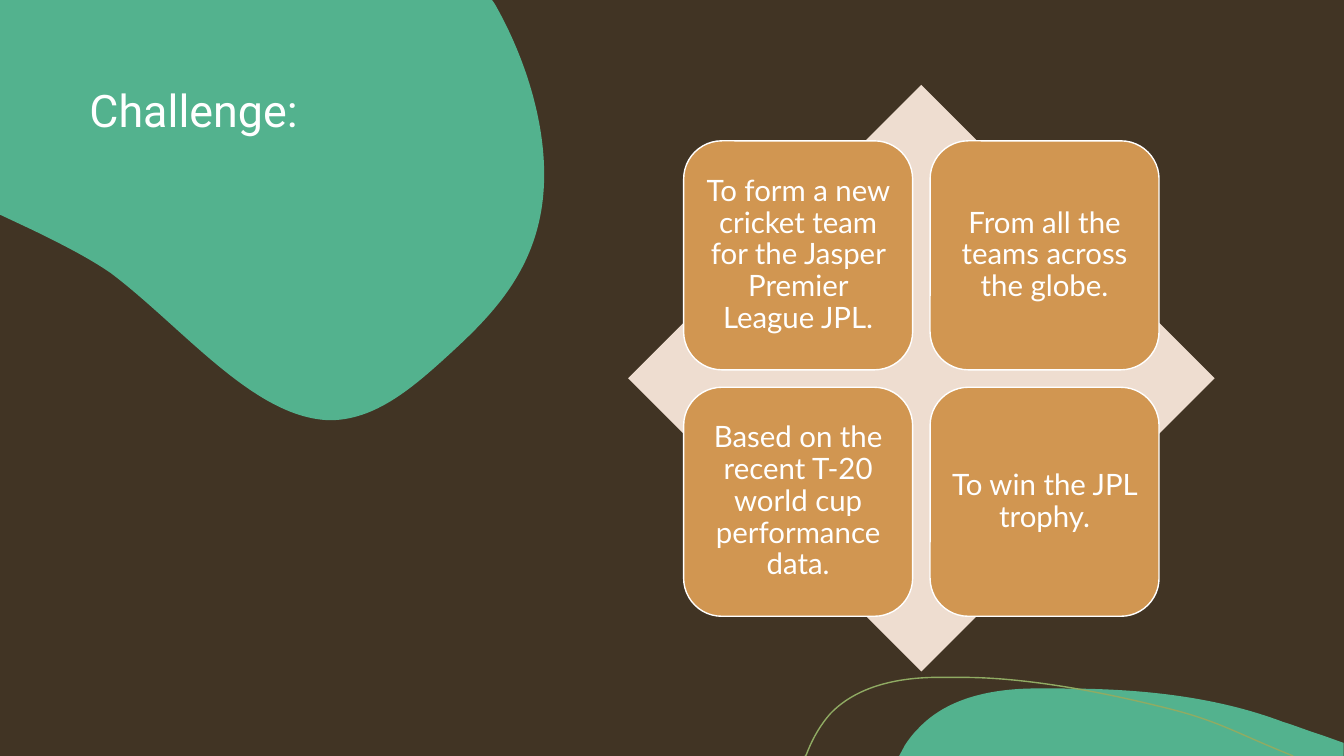
from dataclasses import dataclass

from lxml import etree
from pptx import Presentation
from pptx.dml.color import RGBColor
from pptx.enum import shapes, text
from pptx.oxml.ns import qn
from pptx.shapes.autoshape import Shape
from pptx.slide import Slide
from pptx.text.text import TextFrame
from pptx.util import Cm, Pt

BROWN = RGBColor(0x41, 0x34, 0x24)
GREEN = RGBColor(0x53, 0xB2, 0x8E)
OLIVE = RGBColor(0x90, 0xAB, 0x63)
SAND = RGBColor(0xEE, 0xDD, 0xD0)
OCHRE = RGBColor(0xD1, 0x96, 0x51)
WHITE = RGBColor(0xFF, 0xFF, 0xFF)

Point = tuple[float, float]


@dataclass(frozen=True)
class Outline:
    """Each segment holds one point (line) or three points (cubic curve), in cm."""
    start: Point
    segments: tuple[tuple[Point, ...], ...]
    closed: bool = True


@dataclass(frozen=True)
class Tile:
    column: int
    row: int
    wording: str


TOP_BLOB = Outline((0, 0), (
    ((12.4, 0),),
    ((12.47, 0.1),),
    ((13.28, 1.52), (13.84, 3.33), (13.69, 4.93)),
    ((13.51, 6.86), (12.34, 8), (11.28, 8.97)),
    ((10.39, 9.78), (9.45, 10.59), (8.31, 10.59)),
    ((6.4, 10.54), (4.62, 8.26), (2.79, 6.88)),
    ((2.24, 6.5), (1.55, 6.15), (0.81, 5.79)),
    ((0, 5.41),),
))
BOTTOM_BLOB = Outline((26.77, 17.35), (
    ((28.65, 17.35), (30.58, 17.53), (32.33, 18.19)),
    ((32.66, 18.29), (32.97, 18.42), (33.3, 18.52)),
    ((33.86, 18.72),),
    ((33.86, 19.05),),
    ((22.66, 19.05),),
    ((22.81, 18.77),),
    ((22.91, 18.62), (23.01, 18.49), (23.14, 18.36)),
    ((23.85, 17.6), (24.94, 17.37), (25.98, 17.35)),
    ((26.24, 17.35), (26.5, 17.35), (26.77, 17.35)),
))
BOTTOM_CURVE = Outline((20.29, 19.05), (
    ((20.32, 19.02),),
    ((20.47, 18.62), (20.68, 18.26), (20.93, 17.98)),
    ((21.59, 17.3), (22.58, 17.09), (23.52, 17.07)),
    ((24.26, 17.07),),
    ((25.96, 17.07), (27.94, 17.48), (29.34, 17.83)),
    ((30.71, 18.16), (31.14, 18.47), (32.59, 19.05)),
), closed=False)

TILES = (
    Tile(0, 0, "To form a new cricket team for the Jasper Premier League JPL."),
    Tile(1, 0, "From all the teams across the globe."),
    Tile(0, 1, "Based on the recent T-20 world cup performance data."),
    Tile(1, 1, "To win the JPL trophy."),
)
TILE_LEFT, TILE_TOP, TILE_SIZE, TILE_PITCH = 17.23, 3.55, 5.77, 6.21


def paint(shape: Shape, fill: RGBColor | None, line: RGBColor | None) -> None:
    shape.shadow.inherit = False
    if fill is None:
        shape.fill.background()
    else:
        shape.fill.solid()
        shape.fill.fore_color.rgb = fill
    if line is None:
        shape.line.fill.background()
    else:
        shape.line.color.rgb = line
        shape.line.width = Pt(1)


def draw_outline(page: Slide, outline: Outline, fill: RGBColor | None = None,
                 line: RGBColor | None = None) -> Shape:
    points = [outline.start, *(p for segment in outline.segments for p in segment)]
    corners = [(Cm(x), Cm(y)) for x, y in points]
    builder = page.shapes.build_freeform(*corners[0])
    builder.add_line_segments(corners[1:], close=outline.closed)
    shape = builder.convert_to_shape()

    # Join the three points of each curved segment into one cubic curve
    steps = iter(list(shape.element.iter(qn("a:lnTo"))))
    for segment in outline.segments:
        group = [next(steps) for _ in segment]
        if len(group) == 3:
            curve = etree.Element(qn("a:cubicBezTo"))
            group[0].addprevious(curve)
            for step in group:
                curve.append(step[0])
                step.getparent().remove(step)

    paint(shape, fill, line)
    return shape


def draw_preset(page: Slide, preset: shapes.MSO_SHAPE, left: float, top: float,
                width: float, height: float, fill: RGBColor,
                line: RGBColor | None = None) -> Shape:
    shape = page.shapes.add_shape(preset, Cm(left), Cm(top), Cm(width), Cm(height))
    paint(shape, fill, line)
    return shape


def write(frame: TextFrame, wording: str, font: str, size: float,
          alignment: text.PP_ALIGN) -> None:
    frame.text = wording
    frame.word_wrap = True
    para = frame.paragraphs[0]
    para.alignment = alignment
    para.line_spacing = 0.9
    para.font.name = font
    para.font.size = Pt(size)
    para.font.color.rgb = WHITE


def draw_tile(page: Slide, tile: Tile) -> None:
    box = draw_preset(page, shapes.MSO_SHAPE.ROUNDED_RECTANGLE,
                      TILE_LEFT + tile.column * TILE_PITCH,
                      TILE_TOP + tile.row * TILE_PITCH,
                      TILE_SIZE, TILE_SIZE, OCHRE, WHITE)
    frame = box.text_frame
    frame.vertical_anchor = text.MSO_ANCHOR.MIDDLE
    frame.margin_left = frame.margin_right = Cm(0.18)
    frame.margin_top = frame.margin_bottom = Cm(0.23)
    write(frame, tile.wording, "Lato", 21, text.PP_ALIGN.CENTER)


def main() -> None:
    deck = Presentation()
    deck.slide_width, deck.slide_height = Cm(33.87), Cm(19.05)
    page = deck.slides.add_slide(deck.slide_layouts.get_by_name("Title Only"))
    page.background.fill.solid()
    page.background.fill.fore_color.rgb = BROWN

    # Title, in front of the backdrop and the top blob
    title = page.shapes.title
    title.left, title.top, title.width, title.height = Cm(2), Cm(2.1), Cm(10.7), Cm(6.35)
    title.text_frame.vertical_anchor = text.MSO_ANCHOR.TOP
    title.text_frame.auto_size = text.MSO_AUTO_SIZE.NONE
    write(title.text_frame, "Challenge:", "Roboto", 32, text.PP_ALIGN.LEFT)
    backdrop = draw_preset(page, shapes.MSO_SHAPE.RECTANGLE, 0, 0, 33.87, 19.05, BROWN)
    top_blob = draw_outline(page, TOP_BLOB, fill=GREEN)
    for shape in (backdrop, top_blob):
        title.element.addprevious(shape.element)

    # Bottom decoration
    draw_outline(page, BOTTOM_BLOB, fill=GREEN)
    draw_outline(page, BOTTOM_CURVE, line=OLIVE)

    # Diamond with four tiles
    draw_preset(page, shapes.MSO_SHAPE.DIAMOND, 15.83, 2.14, 14.78, 14.78, SAND)
    for tile in TILES:
        draw_tile(page, tile)

    deck.save("out.pptx")


if __name__ == "__main__":
    main()
